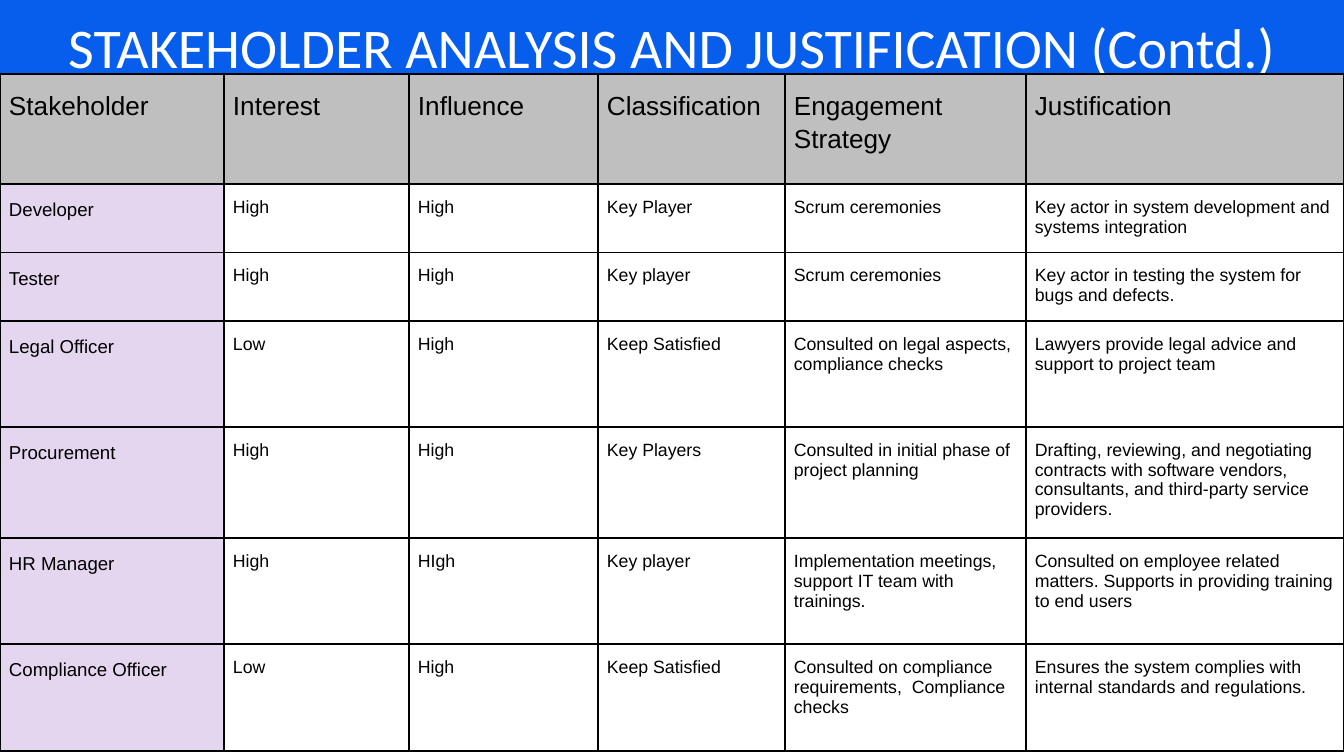
from lxml import etree
from pptx import Presentation
from pptx import util as u
from pptx.dml.color import RGBColor
from pptx.enum import shapes, text
from pptx.oxml import ns

THEME = {
    "band": RGBColor.from_string("075EED"),
    "header": RGBColor.from_string("BFBFBF"),
    "role": RGBColor.from_string("E4D4F0"),
    "role_alpha": 94000,
    "light": RGBColor.from_string("FFFFFF"),
    "dark": RGBColor.from_string("000000"),
    "title_font": "Calibri",
    "body_font": "Arial",
    "title_size": 30,
    "header_size": 14,
    "role_size": 10,
    "detail_size": 9.5,
}
EMU_PER_PX = 914400 / 134.4


def px(length):
    return u.Emu(round(length * EMU_PER_PX))


def add_run(paragraph, words, font, size, color):
    run = paragraph.add_run()
    run.text = words
    run.font.name = font
    run.font.size = u.Pt(size)
    run.font.color.rgb = color


deck = Presentation()
deck.slide_width, deck.slide_height = px(1344), px(756)
slide = deck.slides.add_slide(deck.slide_layouts[6])

band = slide.shapes.add_shape(shapes.MSO_SHAPE.RECTANGLE, px(-130), px(-38), px(1604), px(129))
band.shadow.inherit = False
band.fill.solid()
band.fill.fore_color.rgb = THEME["band"]
band.line.fill.background()

title = slide.shapes.add_textbox(px(-130), px(-9), px(1604), px(79)).text_frame
title.word_wrap = True
title.vertical_anchor = text.MSO_ANCHOR.MIDDLE
title.margin_left = title.margin_right = title.margin_top = title.margin_bottom = px(4)
heading = title.paragraphs[0]
heading.alignment = text.PP_ALIGN.CENTER
heading.line_spacing = 1.48
add_run(heading, "STAKEHOLDER ANALYSIS AND JUSTIFICATION (Contd.)",
        THEME["title_font"], THEME["title_size"], THEME["light"])

stakeholders = [
    ("Stakeholder", "Interest", "Influence", "Classification", "Engagement Strategy", "Justification"),
    ("Developer", "High", "High", "Key Player", "Scrum ceremonies",
     "Key actor in system development and systems integration"),
    ("Tester", "High", "High", "Key player", "Scrum ceremonies",
     "Key actor in testing the system for bugs and defects."),
    ("Legal Officer", "Low", "High", "Keep Satisfied",
     "Consulted on legal aspects, compliance checks",
     "Lawyers provide legal advice and support to project team"),
    ("Procurement", "High", "High", "Key Players",
     "Consulted in initial phase of project planning",
     "Drafting, reviewing, and negotiating contracts with software vendors, "
     "consultants, and third-party service providers."),
    ("HR Manager", "High", "HIgh", "Key player",
     "Implementation meetings, support IT team with trainings.",
     "Consulted on employee related matters. Supports in providing training to end users"),
    ("Compliance Officer", "Low", "High", "Keep Satisfied",
     "Consulted on compliance requirements,  Compliance checks",
     "Ensures the system complies with internal standards and regulations."),
]
column_widths = [224, 185, 189, 187, 241, 318]
row_heights = [110, 67, 67, 106, 107, 106, 107]

analysis = slide.shapes.add_table(
    len(row_heights), len(column_widths), px(0), px(74),
    px(sum(column_widths)), px(sum(row_heights))).table
for column, width in zip(analysis.columns, column_widths):
    column.width = px(width)
for row, height in zip(analysis.rows, row_heights):
    row.height = px(height)

for r, entry in enumerate(stakeholders):
    for c, words in enumerate(entry):
        cell = analysis.cell(r, c)
        cell.margin_left = cell.margin_right = px(9)
        cell.margin_top = cell.margin_bottom = px(13)
        cell_props = cell._tc.get_or_add_tcPr()
        for side in ("a:lnL", "a:lnR", "a:lnT", "a:lnB"):
            border = etree.SubElement(cell_props, ns.qn(side), w=str(u.Pt(1)))
            ink = etree.SubElement(border, ns.qn("a:solidFill"))
            etree.SubElement(ink, ns.qn("a:srgbClr"), val=str(THEME["dark"]))

        paragraph = cell.text_frame.paragraphs[0]
        size = THEME["detail_size"]
        if r == 0:
            size = THEME["header_size"]
            cell.fill.solid()
            cell.fill.fore_color.rgb = THEME["header"]
        elif c == 0:
            size = THEME["role_size"]
            cell.fill.solid()
            cell.fill.fore_color.rgb = THEME["role"]
            tint = cell_props.find(ns.qn("a:solidFill")).find(ns.qn("a:srgbClr"))
            etree.SubElement(tint, ns.qn("a:alpha"), val=str(THEME["role_alpha"]))
        else:
            cell.fill.background()
        if r == 0 or c == 0:
            paragraph.line_spacing = 1.15
        add_run(paragraph, words, THEME["body_font"], size, THEME["dark"])

deck.save("out.pptx")
